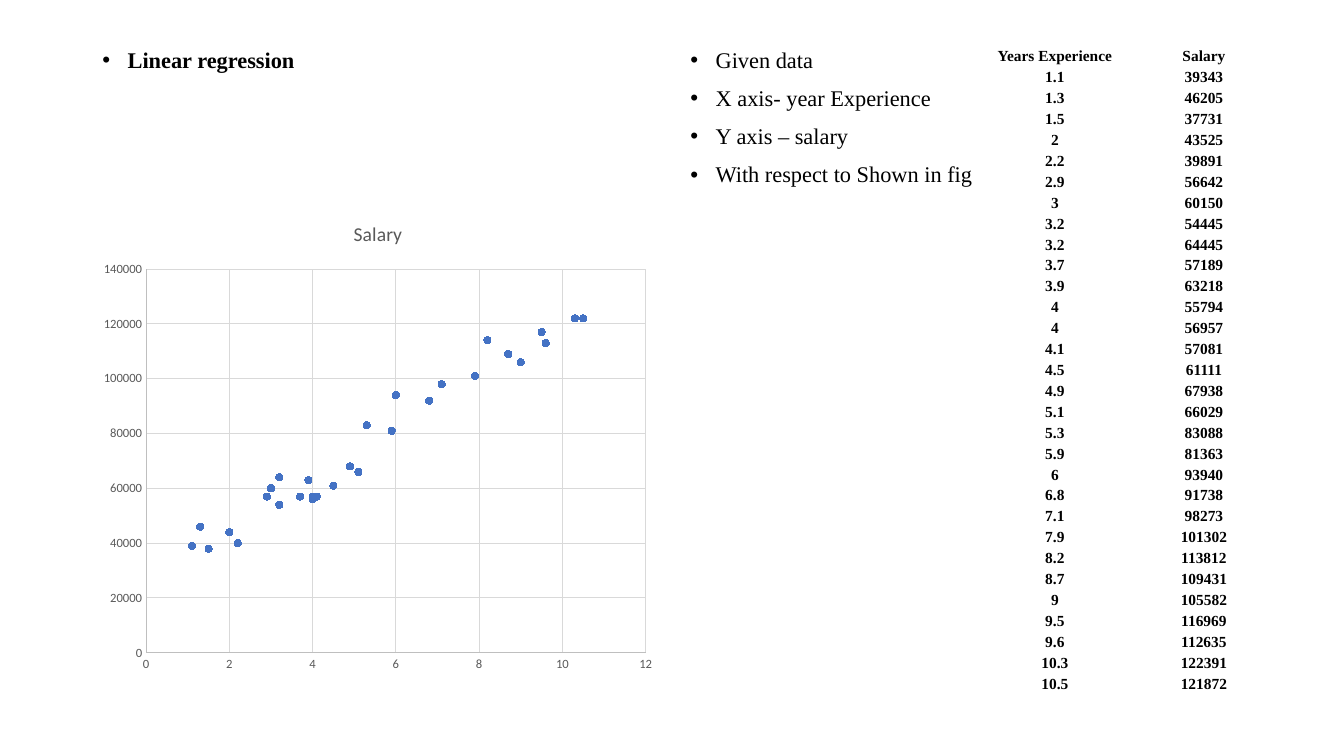
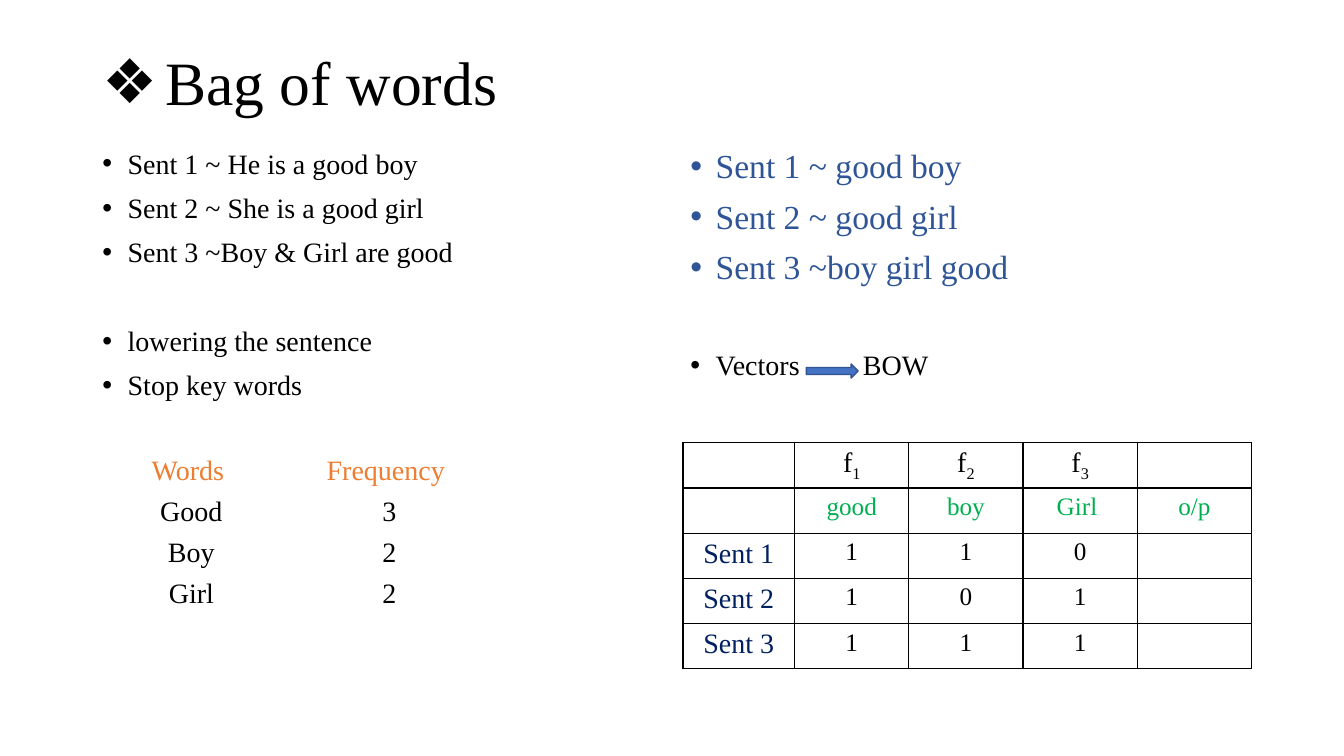
from dataclasses import dataclass

from lxml import etree
from pptx import Presentation
from pptx.chart.data import XyChartData
from pptx.dml.color import RGBColor
from pptx.enum import chart as charts, shapes, text as texts
from pptx.oxml.ns import qn
from pptx.util import Pt

# Content
SALARIES = [
    (1.1, 39343), (1.3, 46205), (1.5, 37731), (2, 43525), (2.2, 39891),
    (2.9, 56642), (3, 60150), (3.2, 54445), (3.2, 64445), (3.7, 57189),
    (3.9, 63218), (4, 55794), (4, 56957), (4.1, 57081), (4.5, 61111),
    (4.9, 67938), (5.1, 66029), (5.3, 83088), (5.9, 81363), (6, 93940),
    (6.8, 91738), (7.1, 98273), (7.9, 101302), (8.2, 113812), (8.7, 109431),
    (9, 105582), (9.5, 116969), (9.6, 112635), (10.3, 122391), (10.5, 121872),
]
SALARY_HEADER = ("Years Experience", "Salary")
REGRESSION_TITLE = "Linear regression"
REGRESSION_POINTS = ["Given data", "X axis- year Experience", "Y axis – salary",
                     "With respect to Shown in fig"]

BAG_TITLE = "Bag of words"
SENTENCES = ["Sent 1 ~ He is a good boy", "Sent 2 ~ She is a good girl",
             "Sent 3 ~Boy & Girl are good"]
CLEANING_STEPS = ["lowering the sentence", "Stop key words"]
CLEAN_SENTENCES = ["Sent 1 ~ good boy", "Sent 2 ~ good girl", "Sent 3 ~boy girl good"]
VECTOR_STEP = ("Vectors", "BOW")
FREQUENCIES = [("Words ", "Frequency "), ("Good", "3"), ("Boy", "2"), ("Girl", "2")]
VECTORS = [
    ("", "f1", "f2", "f3", ""),
    ("", "good", "boy", "Girl ", "o/p"),
    ("Sent 1", "1", "1", "0", ""),
    ("Sent 2", "1", "0", "1", ""),
    ("Sent 3", "1", "1", "1", ""),
]


@dataclass(frozen=True)
class Theme:
    font: str = "Times New Roman"
    chart_font: str = "Calibri"
    ink: str = "000000"
    blue: str = "4472C4"
    arrow_edge: str = "325491"
    clean: str = "2F5597"
    heading: str = "ED7D31"
    feature: str = "00B050"
    label: str = "002060"
    chart_text: str = "595959"
    axis: str = "BFBFBF"
    grid: str = "D9D9D9"
    title: int = 44
    large: int = 24
    body: int = 20
    cell: int = 18
    small: int = 16
    data: int = 11
    chart_title: int = 14
    tick: int = 9


THEME = Theme()
LEFT, RIGHT, COLUMN, BOTTOM = 66, 486, 408, 486.5
CENTER = texts.PP_ALIGN.CENTER


def color(value):
    return RGBColor.from_string(value)


def style_font(font, size, ink, name=THEME.font, bold=False):
    font.size, font.name, font.bold = Pt(size), name, bold
    font.color.rgb = color(ink)


def write(paragraph, text, size=THEME.body, ink=THEME.ink, bold=False, align=None,
          baseline=None, spacing=None):
    run = paragraph.add_run()
    run.text = text
    style_font(run.font, size, ink, bold=bold)
    if align is not None:
        paragraph.alignment = align
    properties = run.font._element
    if baseline is not None:
        properties.set("baseline", str(baseline * 1000))
    if spacing is not None:
        properties.set("spc", str(spacing * 100))


def add_bullet(paragraph, character="•", indent=18, before=10):
    paragraph.line_spacing = 0.9
    paragraph.space_before = Pt(before)
    paragraph.space_after = Pt(0)
    properties = paragraph._p.get_or_add_pPr()
    properties.set("marL", str(Pt(indent)))
    properties.set("indent", str(-Pt(indent)))
    etree.SubElement(properties, qn("a:buFont"), typeface="Arial")
    etree.SubElement(properties, qn("a:buChar"), char=character)


def place(shape, left, top, width, height):
    shape.left, shape.top = Pt(left), Pt(top)
    shape.width, shape.height = Pt(width), Pt(height)
    shape.text_frame.auto_size = texts.MSO_AUTO_SIZE.NONE
    shape.text_frame.word_wrap = True


def fill_list(placeholder, left, top, items):
    """Each item is (runs, space before); each run is (text, format)."""
    place(placeholder, left, top, COLUMN, BOTTOM - top)
    frame = placeholder.text_frame
    frame.vertical_anchor = texts.MSO_ANCHOR.TOP
    for index, (runs, before) in enumerate(items):
        paragraph = frame.add_paragraph() if index else frame.paragraphs[0]
        add_bullet(paragraph, before=before)
        for text, style in runs:
            write(paragraph, text, **style)


def list_items(lines, first_before=10, **style):
    return [([(line, style)], 10 if index else first_before)
            for index, line in enumerate(lines)]


def add_borders(cell):
    properties = cell._tc.get_or_add_tcPr()
    for index, side in enumerate(("lnL", "lnR", "lnT", "lnB")):
        line = etree.Element(qn(f"a:{side}"), w=str(Pt(1)))
        solid = etree.SubElement(line, qn("a:solidFill"))
        etree.SubElement(solid, qn("a:srgbClr"), val=THEME.ink)
        properties.insert(index, line)


def add_grid(slide, rows, left, top, widths, row_height, style_of, bordered=False,
             inset=None, anchor=texts.MSO_ANCHOR.TOP):
    """Add a plain table; style_of(row, column) gives the format of a cell."""
    table = slide.shapes.add_table(len(rows), len(widths), Pt(left), Pt(top),
                                   Pt(sum(widths)), Pt(row_height * len(rows))).table
    table.first_row = table.horz_banding = False
    for column, width in zip(table.columns, widths):
        column.width = Pt(width)
    for r, values in enumerate(rows):
        table.rows[r].height = Pt(row_height)
        for c, value in enumerate(values):
            cell = table.cell(r, c)
            cell.fill.background()
            cell.vertical_anchor = anchor
            if inset is not None:
                cell.margin_left = cell.margin_right = cell.margin_top = Pt(inset)
                cell.margin_bottom = Pt(0)
            if bordered:
                add_borders(cell)
            paragraph = cell.text_frame.paragraphs[0]
            style = style_of(r, c)
            subscript = style.pop("subscript", False)
            if value and subscript:
                write(paragraph, value[0], align=CENTER, **style)
                write(paragraph, value[1:], baseline=-25, **style)
            elif value:
                write(paragraph, value, align=CENTER, **style)


def add_salary_chart(slide):
    data = XyChartData()
    series_data = data.add_series("Salary")
    for years, salary in SALARIES:
        series_data.add_data_point(years, round(salary, -3))
    chart = slide.shapes.add_chart(charts.XL_CHART_TYPE.XY_SCATTER, Pt(LEFT), Pt(143.8),
                                   Pt(COLUMN), Pt(BOTTOM - 143.8), data).chart
    style_font(chart.font, 10, THEME.ink, THEME.chart_font)
    chart.has_legend = False
    chart.has_title = True
    chart.chart_title.include_in_layout = False
    paragraph = chart.chart_title.text_frame.paragraphs[0]
    run = paragraph.add_run()
    run.text = "Salary"
    style_font(run.font, THEME.chart_title, THEME.chart_text, THEME.chart_font)

    for axis, maximum, step in ((chart.category_axis, 12, 2),
                                (chart.value_axis, 140000, 20000)):
        axis.minimum_scale, axis.maximum_scale, axis.major_unit = 0, maximum, step
        axis.major_tick_mark = axis.minor_tick_mark = charts.XL_TICK_MARK.NONE
        axis.has_major_gridlines = True
        for line, ink in ((axis.format.line, THEME.axis),
                          (axis.major_gridlines.format.line, THEME.grid)):
            line.width = Pt(0.75)
            line.color.rgb = color(ink)
        style_font(axis.tick_labels.font, THEME.tick, THEME.chart_text, THEME.chart_font)
        axis.tick_labels.number_format = "General"
        axis.tick_labels.number_format_is_linked = False

    plot = chart.plots[0]
    plot.vary_by_categories = False
    series = plot.series[0]
    series.smooth = False
    series.format.line.fill.background()
    marker = series.marker
    marker.style, marker.size = charts.XL_MARKER_STYLE.CIRCLE, 5
    marker.format.fill.solid()
    marker.format.fill.fore_color.rgb = color(THEME.blue)
    marker.format.line.color.rgb = color(THEME.blue)


def salary_style(row, column):
    return dict(size=THEME.data, bold=True)


def frequency_style(row, column):
    return dict(ink=THEME.ink if row else THEME.heading)


def vector_style(row, column):
    if row == 0:
        return dict(subscript=True)
    if row == 1:
        return dict(size=THEME.cell, ink=THEME.feature)
    if column == 0:
        return dict(ink=THEME.label)
    return dict(size=THEME.cell)


def build_regression(slide):
    title, left, right = slide.placeholders
    title._element.getparent().remove(title._element)
    fill_list(left, LEFT, 31.5, list_items([REGRESSION_TITLE], size=THEME.small, bold=True))
    fill_list(right, RIGHT, 31.5, list_items(REGRESSION_POINTS, size=THEME.small))
    add_salary_chart(slide)
    rows = [SALARY_HEADER] + [(str(years), str(salary)) for years, salary in SALARIES]
    add_grid(slide, rows, 687, 31.6, (133, 80), 14.96, salary_style,
             inset=0.6, anchor=texts.MSO_ANCHOR.BOTTOM)


def build_bag_of_words(slide):
    title, left, right = slide.placeholders
    place(title, LEFT, 28.8, 828, 64.8)
    title.text_frame.vertical_anchor = texts.MSO_ANCHOR.MIDDLE
    heading = title.text_frame.paragraphs[0]
    add_bullet(heading, "❖", indent=45, before=0)
    write(heading, BAG_TITLE, size=THEME.title, align=texts.PP_ALIGN.LEFT)

    # Sentences before and after cleaning
    fill_list(left, LEFT, 103.5,
              list_items(SENTENCES) + list_items(CLEANING_STEPS, first_before=42))
    source, target = VECTOR_STEP
    vector_runs = [(source, {}), (" ", dict(spacing=40)), (target, {})]
    fill_list(right, RIGHT, 103.5,
              list_items(CLEAN_SENTENCES, size=THEME.large, ink=THEME.clean)
              + [(vector_runs, 46)])

    # Word counts and vectors
    add_grid(slide, FREQUENCIES, LEFT, 321.4, (141.4, 141.4), 27.4, frequency_style)
    add_grid(slide, VECTORS, 487.8, 316, (79.8,) + (81.6,) * 4, 32.3, vector_style,
             bordered=True)

    # Arrow between the two words
    arrow = slide.shapes.add_shape(shapes.MSO_SHAPE.RIGHT_ARROW,
                                   Pt(576), Pt(260), Pt(37), Pt(10))
    arrow.shadow.inherit = False
    arrow.fill.solid()
    arrow.fill.fore_color.rgb = color(THEME.blue)
    arrow.line.color.rgb = color(THEME.arrow_edge)
    arrow.line.width = Pt(1)


def main():
    presentation = Presentation()
    presentation.slide_width, presentation.slide_height = Pt(960), Pt(540)
    two_content = presentation.slide_layouts[3]
    for build in (build_regression, build_bag_of_words):
        build(presentation.slides.add_slide(two_content))
    presentation.save("out.pptx")


if __name__ == "__main__":
    main()
